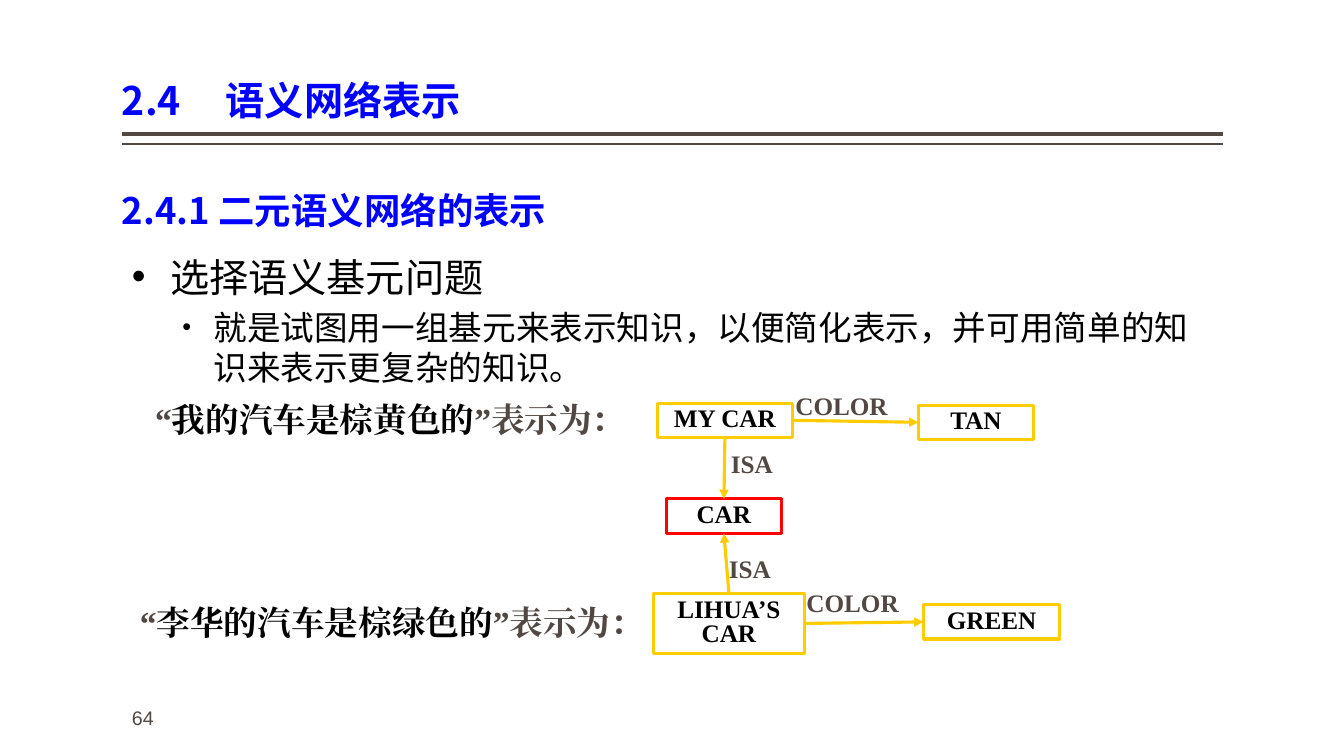
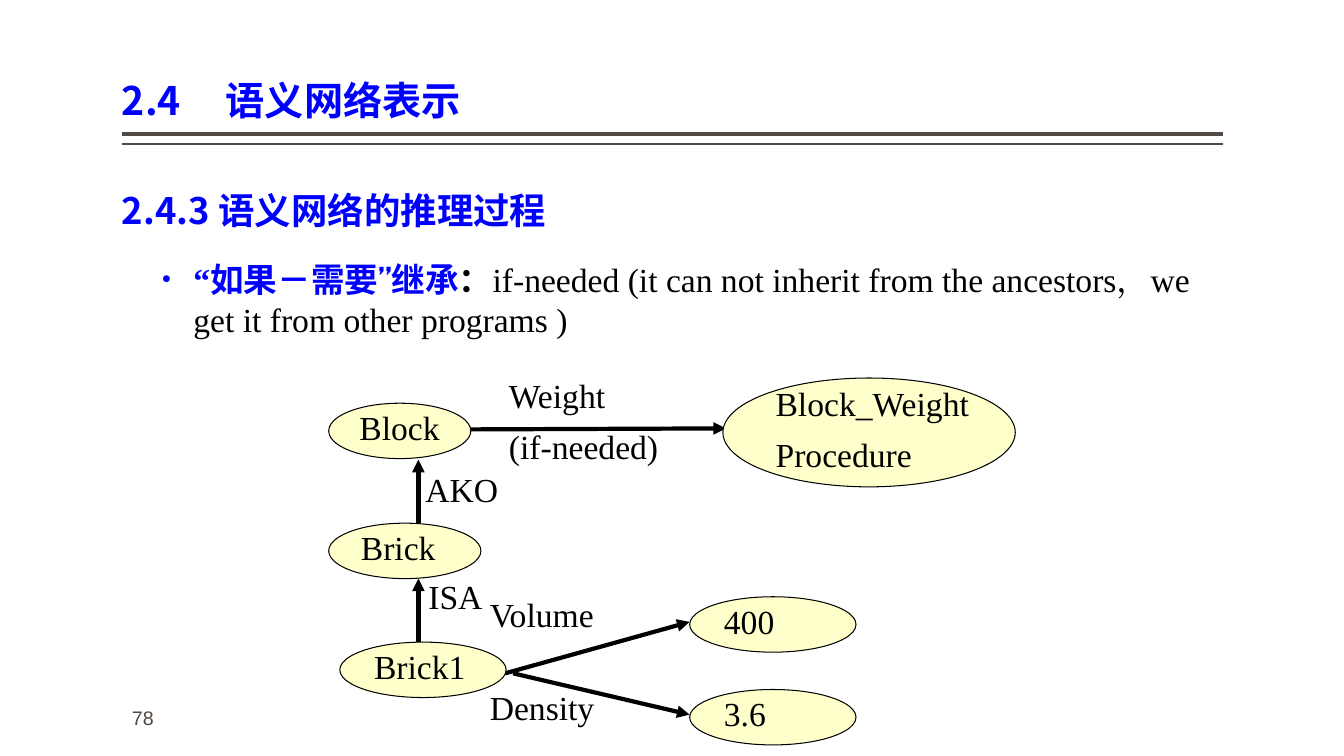
from dataclasses import dataclass

from lxml import etree
from pptx import Presentation
from pptx.dml.color import RGBColor
from pptx.enum.shapes import MSO_CONNECTOR, MSO_SHAPE
from pptx.enum.text import MSO_ANCHOR as ANCHOR, PP_ALIGN as ALIGN
from pptx.oxml.ns import qn
from pptx.util import Inches, Pt


@dataclass(frozen=True)
class Theme:
    blue: str = "0000FF"
    gray: str = "514843"
    black: str = "000000"
    gold: str = "FFCC00"
    red: str = "FF0000"
    cream: str = "FFFFCC"
    cjk: str = "Noto Sans CJK SC"
    serif: str = "Times New Roman"
    body: str = "Cabin"
    sans: str = "Arial"
    title_size: int = 28
    heading_size: int = 26
    text_size: int = 24
    label_size: int = 18
    number_size: int = 14
    left: float = 1.21
    width: float = 10.92


T = Theme()
TIGHT = dict(font=T.serif, spacing=0.8)
NODE = dict(TIGHT, size=T.label_size, bold=True, align=ALIGN.CENTER)
LINK = dict(TIGHT, size=T.label_size, bold=True, color=T.gray)
GRAPH = dict(TIGHT, size=T.text_size, before=13)


def rgb(value):
    return RGBColor.from_string(value)


def sub(parent, tag, **attrs):
    return etree.SubElement(parent, qn(tag), attrs)


def set_indent(p, hang, margin, bullet_size=None, tab=None):
    """Add a hanging bullet and, if given, a tab stop (inches)."""
    pPr = p._p.get_or_add_pPr()
    if margin:
        pPr.set("marL", str(Inches(margin)))
        pPr.set("indent", str(-Inches(hang)))
        if bullet_size:
            sub(pPr, "a:buSzPct", val=str(bullet_size * 1000))
        sub(pPr, "a:buFont", typeface=T.sans)
        sub(pPr, "a:buChar", char="•")
    if tab:
        sub(sub(pPr, "a:tabLst"), "a:tab", pos=str(Inches(tab)), algn="l")


def add_run(p, text, font, size, color, bold):
    r = p.add_run()
    r.text = text
    r.font.name = font
    r.font.size = Pt(size)
    r.font.bold = bold
    r.font.color.rgb = rgb(color)
    sub(r._r.get_or_add_rPr(), "a:ea", typeface=font)


def write(tf, runs, first=True, font=T.body, size=T.text_size, color=T.black,
          bold=False, align=ALIGN.LEFT, spacing=None, before=0,
          hang=0, margin=0, bullet_size=None, tab=None):
    """Write one paragraph; runs is a string or a list of (text, overrides)."""
    p = tf.paragraphs[0] if first else tf.add_paragraph()
    set_indent(p, hang, margin, bullet_size, tab)
    p.alignment = align
    if spacing:
        p.line_spacing = spacing
    if before and not first:
        p.space_before = Pt(before)
    base = dict(font=font, size=size, color=color, bold=bold)
    for text, changes in [(runs, {})] if isinstance(runs, str) else runs:
        add_run(p, text, **{**base, **changes})


def write_lines(tf, text, **fmt):
    for i, line in enumerate(text.split("\n")):
        write(tf, line, first=i == 0, **fmt)


def add_text(slide, x, y, w, h, runs=None, anchor=ANCHOR.TOP, inset=0.1, **fmt):
    sp = slide.shapes.add_textbox(Inches(x), Inches(y), Inches(w), Inches(h))
    tf = sp.text_frame
    tf.word_wrap = True
    tf.vertical_anchor = anchor
    tf.margin_left = tf.margin_right = Inches(inset)
    if isinstance(runs, str):
        write_lines(tf, runs, **fmt)
    elif runs:
        write(tf, runs, **fmt)
    return tf


def add_node(slide, kind, x, y, w, h, text, line, weight, fill=None,
             anchor=ANCHOR.TOP, wrap=True, **fmt):
    sp = slide.shapes.add_shape(kind, Inches(x), Inches(y), Inches(w), Inches(h))
    sp.shadow.inherit = False
    if fill:
        sp.fill.solid()
        sp.fill.fore_color.rgb = rgb(fill)
    else:
        sp.fill.background()
    sp.line.color.rgb = rgb(line)
    sp.line.width = Pt(weight)
    tf = sp.text_frame
    tf.word_wrap = wrap
    tf.vertical_anchor = anchor
    write_lines(tf, text, **fmt)
    return sp


def add_box(slide, x, y, w, h, text, line=T.gold):
    return add_node(slide, MSO_SHAPE.RECTANGLE, x, y, w, h, text, line, 2.25, **NODE)


def add_oval(slide, x, y, w, text, h=0.55):
    return add_node(slide, MSO_SHAPE.OVAL, x, y, w, h, text, T.black, 0.75,
                    fill=T.cream, anchor=ANCHOR.MIDDLE, wrap=False, **GRAPH)


def add_line(slide, start, end, color, weight, arrow=False):
    points = [Inches(v) for v in (*start, *end)]
    cxn = slide.shapes.add_connector(MSO_CONNECTOR.STRAIGHT, *points)
    cxn.line.color.rgb = rgb(color)
    cxn.line.width = Pt(weight)
    if arrow:
        sub(cxn.line._get_or_add_ln(), "a:tailEnd", type="triangle")
    sub(cxn._element.spPr, "a:effectLst")
    return cxn


def join(slide, source, source_side, target, target_side):
    """Draw a gold arrow between the middles of two box sides."""
    cxn = add_line(slide, (0, 0), (1, 1), T.gold, 2.25, arrow=True)
    cxn.begin_connect(source, source_side)
    cxn.end_connect(target, target_side)


def add_base(prs, heading, number):
    """Start a slide with the section title, double rule, heading and number."""
    slide = prs.slides.add_slide(prs.slide_layouts[6])
    right = T.left + T.width
    for y, weight in ((1.33, 3), (1.43, 1)):
        add_line(slide, (T.left, y), (right, y), T.gray, weight)
    head = dict(inset=0, font=T.cjk, color=T.blue, bold=True)
    add_text(slide, T.left, 0.08, T.width, 1.2, "2.4\t语义网络表示",
             anchor=ANCHOR.BOTTOM, size=T.title_size, spacing=0.9, tab=1.03, **head)
    add_text(slide, T.left, 1.6, T.width, 0.92, heading,
             size=T.heading_size, spacing=1.5, **head)
    add_text(slide, T.left, 6.95, 2, 0.4, number,
             font=T.sans, size=T.number_size, color=T.gray)
    return slide


def add_sentence(slide, x, y, sentence):
    runs = [("“", {}), (sentence, dict(color=T.black)), ("”表示为：", {})]
    add_text(slide, x, y, 5.2, 0.42, runs, color=T.gray, bold=True, **TIGHT)


def binary_network_slide(prs):
    slide = add_base(prs, "2.4.1 二元语义网络的表示", "64")
    tf = add_text(slide, T.left, 2.46, T.width, 2.08)
    write(tf, "选择语义基元问题", size=T.title_size, hang=0.38, margin=0.38)
    write(tf, "就是试图用一组基元来表示知识，以便简化表示，并可用简单的知识来表示更复杂的知识。",
          first=False, before=5, hang=0.31, margin=0.81, bullet_size=75)
    add_sentence(slide, 1.44, 3.99, "我的汽车是棕黄色的")
    add_sentence(slide, 1.29, 6, "李华的汽车是棕绿色的")

    my_car = add_box(slide, 6.52, 4, 1.34, 0.34, "MY CAR")
    tan = add_box(slide, 9.11, 4.02, 1.14, 0.34, "TAN")
    car = add_box(slide, 6.61, 4.95, 1.14, 0.34, "CAR", line=T.red)
    lihua_car = add_box(slide, 6.48, 5.89, 1.5, 0.59, "LIHUA’S CAR")
    green = add_box(slide, 9.16, 6, 1.35, 0.34, "GREEN")
    join(slide, my_car, 3, tan, 1)
    join(slide, my_car, 2, car, 0)
    join(slide, lihua_car, 0, car, 2)
    join(slide, lihua_car, 3, green, 1)
    for x, y, text in ((7.79, 3.88, "COLOR"), (7.15, 4.46, "ISA"),
                       (7.13, 5.5, "ISA"), (7.9, 5.84, "COLOR")):
        add_text(slide, x, y, 1.44, 0.34, text, **LINK)


def inference_slide(prs):
    slide = add_base(prs, "2.4.3 语义网络的推理过程", "78")
    strong = dict(color=T.blue, bold=True)
    add_text(slide, 1.01, 2.52, 11.12, 1.92, [
        ("“", dict(strong, font=T.serif)),
        ("如果－需要”继承", strong),
        ("：", dict(bold=True)),
        ("if-needed (it can not inherit from the ancestors，"
         "we get it from other programs )", dict(font=T.serif)),
    ], hang=0.31, margin=0.81, bullet_size=75)

    for start, end in (((4.15, 5.19), (4.15, 4.56)), ((4.15, 6.37), (4.15, 5.74)),
                       ((4.67, 4.26), (7.2, 4.25)), ((5.01, 6.68), (6.84, 6.17)),
                       ((5.09, 6.68), (6.84, 7.09))):
        add_line(slide, start, end, T.black, 3, arrow=True)
    for x, y, w, text in ((3.26, 4, 1.41, "Block"), (3.26, 5.19, 1.51, "Brick"),
                          (3.37, 6.37, 1.65, "Brick1"), (6.84, 5.92, 1.65, "400"),
                          (6.84, 6.84, 1.65, "3.6")):
        add_oval(slide, x, y, w, text)
    add_oval(slide, 7.17, 3.75, 2.9, "Block_Weight\nProcedure", h=1.08)
    for x, y, w, text in ((4.95, 3.75, 2.06, "Weight\n(if-needed)"),
                          (4.12, 4.68, 1.58, "AKO"), (4.15, 5.74, 1.09, "ISA"),
                          (4.76, 5.92, 2.06, "Volume"), (4.76, 6.84, 2.06, "Density")):
        add_text(slide, x, y, w, 0.42, text, **GRAPH)


def main():
    prs = Presentation()
    prs.slide_width = Inches(13.33)
    prs.slide_height = Inches(7.5)
    binary_network_slide(prs)
    inference_slide(prs)
    prs.save("out.pptx")


if __name__ == "__main__":
    main()
